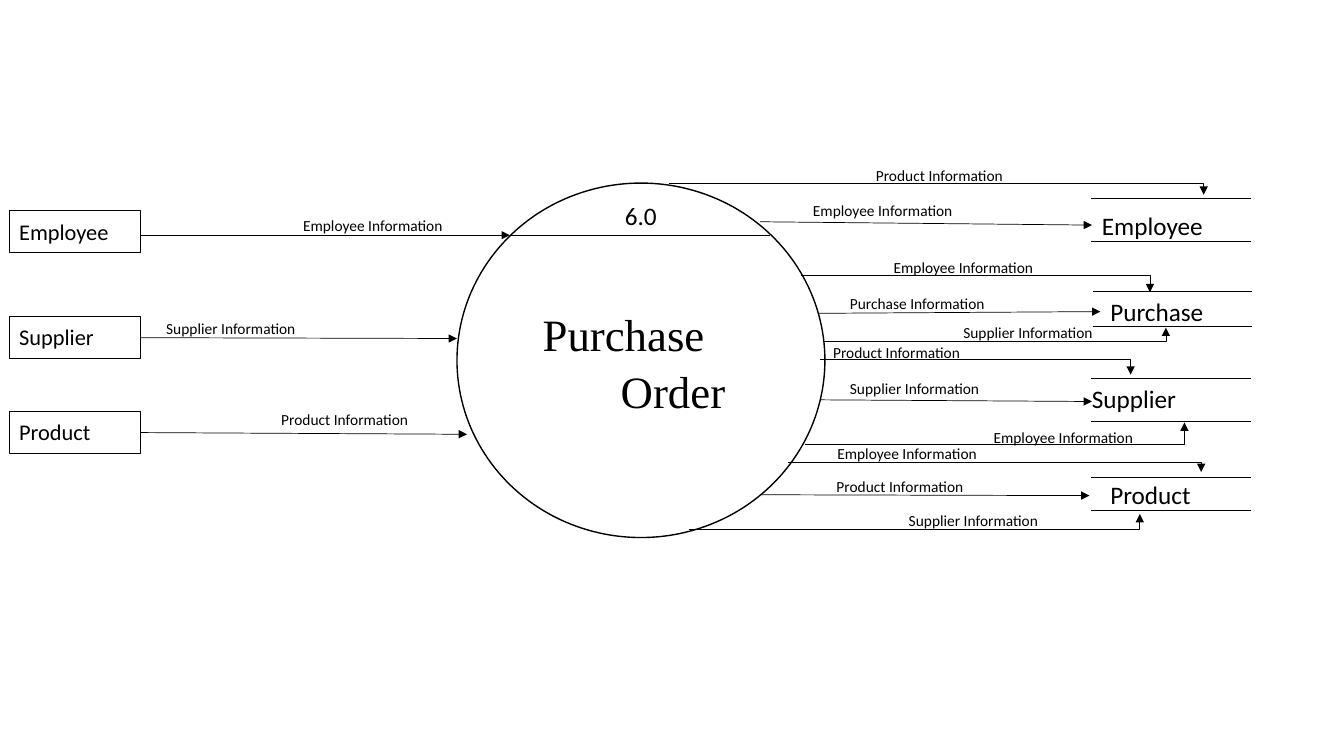
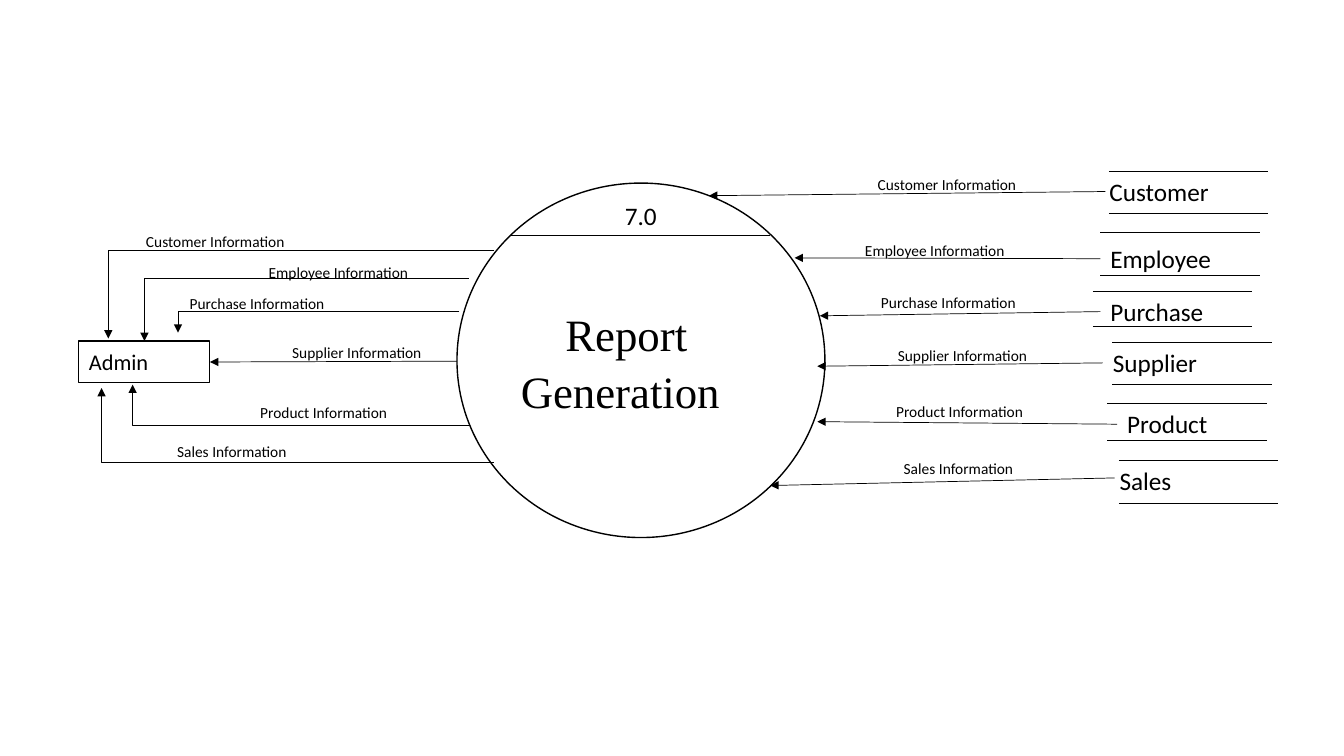
from pptx import Presentation
from pptx.dml.color import RGBColor
from pptx.enum.shapes import MSO_CONNECTOR as LINE, MSO_SHAPE as SHAPE
from pptx.enum.text import MSO_ANCHOR as ANCHOR, PP_ALIGN as ALIGN
from pptx.oxml.ns import qn
from pptx.oxml.xmlchemy import OxmlElement
from pptx.util import Inches, Pt

BLACK = RGBColor(0, 0, 0)
WHITE = RGBColor(255, 255, 255)
BODY, SERIF = "Calibri", "Times New Roman"
WIDTH, HEIGHT = Inches(13.33), Inches(7.5)
COLS, ROWS = 160, 90

PURCHASE = {
    "number": "6.0", "process": "Purchase Order", "margin": 11.9, "indent": -9.3,
    "entities": [("Employee", 1.1, 25.1), ("Supplier", 1.1, 37.7), ("Product", 1.1, 49)],
    "stores": [
        ("Employee", 129.9, 23.6, 28.7, (130, 24.4)),
        ("Purchase", 130.1, 34.7, 38.9, (131, 34.7)),
        ("Supplier", 129.9, 45.1, 50.2, (128.8, 45.1)),
        ("Product", 129.9, 56.8, 60.8, (131, 56.5)),
    ],
    "straight": [
        ("Employee", (16.7, 28), (60.7, 28), (34.9, 25.1)),
        ("Supplier", (16.7, 40.2), (54.4, 40.3), (18.6, 37.4)),
        ("Product", (16.7, 51.5), (55.6, 51.7), (32.3, 48.2)),
        ("Employee", (90.5, 26.4), (130, 26.8), (95.6, 23.4)),
        ("Purchase", (97.4, 37.3), (131, 37.1), (100, 34.4)),
        ("Supplier", (97.6, 47.6), (130, 47.8), (100, 44.5)),
        ("Product", (90.5, 58.9), (129.7, 59), (98.4, 56.2)),
    ],
    "bent": [
        ("Product", (79.6, 21.8), (143.3, 23.2), (103.1, 19.2)),
        ("Employee", (95.3, 32.8), (136.9, 34.8), (105.2, 30.1)),
        ("Supplier", (98, 40.6), (138.8, 39), (113.5, 37.9)),
        ("Product", (97.6, 42.8), (134.6, 44.6), (98, 40.3)),
        ("Employee", (95.8, 52.9), (141, 50.3), (117.1, 50.4)),
        ("Employee", (93.8, 55), (143, 56.2), (98.5, 52.3)),
        ("Supplier", (82, 63), (135.7, 61.2), (107, 60.2)),
    ],
}

REPORT = {
    "number": "7.0", "process": "Report Generation", "margin": 0, "indent": 5.3,
    "entities": [("Admin", 9.4, 40.6)],
    "stores": [
        ("Customer", 132, 20.4, 25.4, (130.9, 20.4)),
        ("Employee", 131, 27.7, 32.8, (131, 28.4)),
        ("Purchase", 130.1, 34.7, 38.9, (131, 34.7)),
        ("Supplier", 132.4, 40.8, 45.8, (131.3, 40.8)),
        ("Product", 131.8, 48, 52.4, (133, 48)),
        ("Sales", 133.2, 54.8, 59.9, (132.1, 54.8)),
    ],
    "straight": [
        ("Customer", (131.6, 22.8), (84.4, 23.3), (103.3, 20.3)),
        ("Employee", (131, 30.8), (94.6, 30.7), (101.8, 28.1)),
        ("Purchase", (131, 37.1), (97.6, 37.6), (103.7, 34.3)),
        ("Supplier", (131.3, 43.2), (97.3, 43.6), (105.7, 40.6)),
        ("Product", (133, 50.5), (97.3, 50.2), (105.5, 47.3)),
        ("Sales", (132.7, 56.9), (91.7, 57.8), (106.4, 54.1)),
        ("Supplier", (54.4, 43), (25, 43.1), (33.6, 40.2)),
    ],
    "bent": [
        ("Customer", (58.8, 29.8), (12.9, 40.3), (16.2, 27.1)),
        ("Employee", (55.8, 33.2), (17.2, 40.6), (30.8, 30.7)),
        ("Purchase", (54.7, 37.1), (21.2, 39.6), (21.4, 34.4)),
        ("Product", (55.8, 50.6), (15.8, 45.8), (29.8, 47.4)),
        ("Sales", (58.8, 55), (12.1, 46.2), (19.9, 52)),
    ],
}


def col(n):
    """Return the width of n grid columns."""
    return round(WIDTH * n / COLS)


def row(n):
    """Return the height of n grid rows."""
    return round(HEIGHT * n / ROWS)


def write(tf, text, size, font=BODY):
    """Put one left-aligned paragraph into a text frame and return it."""
    tf.word_wrap = True
    p = tf.paragraphs[0]
    p.text = text
    p.alignment = ALIGN.LEFT
    p.font.size, p.font.name = Pt(size), font
    p.font.color.rgb = BLACK
    return p


def add_label(s, text, x, y, w, h, size):
    """Add a text box."""
    write(s.shapes.add_textbox(col(x), row(y), col(w), row(h)).text_frame, text, size)


def add_outline(s, kind, x, y, w, h, weight):
    """Add a white preset shape with a black outline."""
    sp = s.shapes.add_shape(kind, col(x), row(y), col(w), row(h))
    sp.shadow.inherit = False
    sp.fill.solid()
    sp.fill.fore_color.rgb = WHITE
    sp.line.color.rgb = BLACK
    sp.line.width = Pt(weight)
    return sp


def add_line(s, start, end, arrow=False, bent=False):
    """Add a thin line, optionally with an arrowhead and one right-angle bend."""
    kind = LINE.ELBOW if bent else LINE.STRAIGHT
    c = s.shapes.add_connector(kind, col(start[0]), row(start[1]), col(end[0]), row(end[1]))
    c.line.color.rgb = BLACK
    c.line.width = Pt(0.5)
    props = c.element.spPr
    if bent:
        props.find(qn("a:prstGeom")).set("prst", "bentConnector2")
    if arrow:
        tail = OxmlElement("a:tailEnd")
        tail.set("type", "triangle")
        props.find(qn("a:ln")).append(tail)
    props.append(OxmlElement("a:effectLst"))


def add_process(s, number, name, margin, indent):
    """Add the process circle with its number above a chord."""
    sp = add_outline(s, SHAPE.OVAL, 54.4, 21.8, 43.8, 42.2, 1)
    sp.text_frame.vertical_anchor = ANCHOR.MIDDLE
    p = write(sp.text_frame, name, 32, SERIF)
    p.line_spacing, p.space_after = 1.07, Pt(8)
    props = p._p.get_or_add_pPr()
    props.set("marL", str(col(margin)))
    props.set("indent", str(col(indent)))
    add_line(s, (60.7, 28), (91.7, 28))
    add_label(s, number, 73.2, 23.3, 6.3, 4.8, 18)


def add_entity(s, name, x, y):
    """Add the box of an external entity."""
    sp = add_outline(s, SHAPE.RECTANGLE, x, y, 15.6, 5, 0.75)
    sp.text_frame.vertical_anchor = ANCHOR.TOP
    p = write(sp.text_frame, name, 16)
    p.line_spacing, p.space_after = 1.07, Pt(8)


def add_store(s, name, x, top, bottom, label):
    """Add a data store: a name between two rules."""
    for y in (top, bottom):
        add_line(s, (x, y), (x + 19, y))
    add_label(s, name, *label, 18, 4.8, 18)


def add_flow(s, subject, start, end, label, bent):
    """Add a data flow arrow and its label."""
    add_line(s, start, end, arrow=True, bent=bent)
    add_label(s, f"{subject} Information", *label, 20, 3.5, 11)


def add_diagram(prs, d):
    """Add one slide with a data flow diagram."""
    s = prs.slides.add_slide(prs.slide_layouts[6])
    add_process(s, d["number"], d["process"], d["margin"], d["indent"])
    for entity in d["entities"]:
        add_entity(s, *entity)
    for store in d["stores"]:
        add_store(s, *store)
    for kind in ("straight", "bent"):
        for flow in d[kind]:
            add_flow(s, *flow, bent=kind == "bent")


def main():
    """Build and save the presentation."""
    prs = Presentation()
    prs.slide_width, prs.slide_height = WIDTH, HEIGHT
    for diagram in (PURCHASE, REPORT):
        add_diagram(prs, diagram)
    prs.save("out.pptx")


main()
